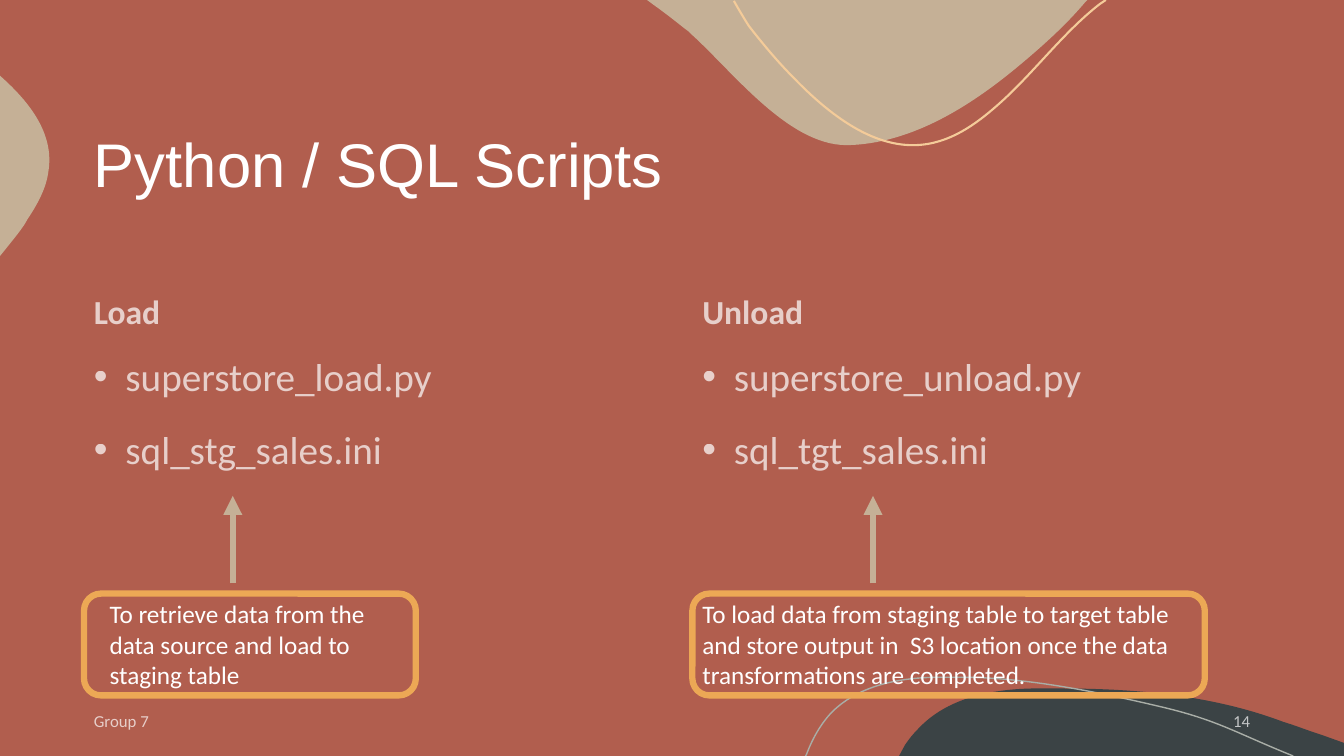
import pptx
import pptx.util
import pptx.dml.color
import pptx.enum.shapes
import pptx.enum.text
import pptx.oxml.ns
from lxml import etree

Pt = pptx.util.Pt
RGBColor = pptx.dml.color.RGBColor
Anchor = pptx.enum.text.MSO_ANCHOR
Align = pptx.enum.text.PP_ALIGN
qn = pptx.oxml.ns.qn

RUST = RGBColor(0xB1, 0x5E, 0x4E)
SAND = RGBColor(0xC5, 0xB0, 0x96)
SLATE = RGBColor(0x3B, 0x43, 0x45)
SAGE = RGBColor(0xA9, 0xAE, 0xA7)
CREAM = RGBColor(0xF4, 0xCB, 0x99)
AMBER = RGBColor(0xEC, 0xA8, 0x55)
WHITE = RGBColor(0xFF, 0xFF, 0xFF)

# Outlines: a pair is a straight step, six numbers are a cubic curve.
HILL = [(116.6, 0), (169.9, 0, 224.6, 5, 274.3, 23.8),
        (283.7, 26.6, 292.3, 30.2, 301.7, 33.1), (317.8, 38.9), (317.8, 48.2),
        (0, 48.2), (4.3, 40.3), (7.2, 36, 10.1, 32.4, 13.7, 28.8),
        (33.8, 7.2, 64.8, 0.7, 94.3, 0), (101.5, 0, 108.7, 0, 116.6, 0)]
SIDE_BLOB = [(0, 0), (0.7, 0.7), (21.6, 19.4, 38.9, 41.8, 34.6, 68.4),
             (33.1, 80.6, 26.6, 92.2, 19.4, 103),
             (17.3, 107.3, 12.2, 113.8, 5.8, 121.7), (0, 128.9)]
HILL_LINE = [(0, 56.2), (0.7, 55.4), (5, 43.9, 10.8, 33.8, 18, 25.9),
             (36.7, 6.5, 64.8, 0.7, 91.4, 0), (112.3, 0),
             (160.6, 0, 216.7, 12.2, 256.3, 21.6),
             (295.2, 31, 307.4, 39.6, 348.5, 56.2)]
TOP_BLOB = [(142.6, 103.7), (100.8, 103.7, 61.2, 51.1, 31.7, 24.5),
            (30.2, 23, 28.8, 21.6, 26.6, 20.2), (20.2, 15.1, 13, 9.4, 5.8, 4.3),
            (0, 0), (314.6, 0), (312.5, 2.2),
            (296.6, 20.9, 277.2, 37.4, 264.2, 48.2),
            (231.1, 75.6, 188.6, 103, 142.6, 103.7)]
TOP_LINE = [(265.7, 0), (261.4, 2.9), (235.4, 23, 213.8, 52.6, 189.4, 74.2),
            (156.2, 103.7, 113.8, 129.6, 42.5, 55.4),
            (31.7, 44.6, 20.9, 31.7, 10.8, 18.7), (6.5, 12.2, 0, 0.7, 0, 0.7)]


def bend_steps(shape, outline):
    """Turn the straight steps of a freeform into the curves of its outline."""
    geometry = next(shape._element.iter(qn("a:path")))
    geometry.set("w", str(shape.width))
    geometry.set("h", str(shape.height))
    for line, step in zip(geometry.findall(qn("a:lnTo")), outline[1:]):
        if len(step) == 6:
            curve = etree.Element(qn("a:cubicBezTo"))
            for x, y in zip(step[::2], step[1::2]):
                etree.SubElement(curve, qn("a:pt"), x=str(Pt(x)), y=str(Pt(y)))
            geometry.replace(line, curve)


def add_wave(slide, box, outline, color, line_width=None):
    """Add a filled blob, or an open line when a line width is given."""
    left, top, width, height = box
    corners = [(Pt(left + step[-2]), Pt(top + step[-1])) for step in outline]
    builder = slide.shapes.build_freeform(*corners[0], scale=1.0)
    builder.add_line_segments(corners[1:], close=line_width is None)
    shape = builder.convert_to_shape()
    shape.width, shape.height = Pt(width), Pt(height)
    bend_steps(shape, outline)
    shape.shadow.inherit = False
    if line_width is None:
        shape.fill.solid()
        shape.fill.fore_color.rgb = color
        shape.line.fill.background()
    else:
        shape.fill.background()
        shape.line.color.rgb = color
        shape.line.width = Pt(line_width)


def add_background(slide):
    slide.background.fill.solid()
    slide.background.fill.fore_color.rgb = RUST
    add_wave(slide, (642.2, 491.8, 317.8, 48.2), HILL, SLATE)
    add_wave(slide, (0, 54, 35.3, 128.9), SIDE_BLOB, SAND)
    add_wave(slide, (575.3, 483.8, 348.5, 56.2), HILL_LINE, SAGE, 1)
    add_wave(slide, (462.2, 0, 314.6, 103.7), TOP_BLOB, SAND)
    add_wave(slide, (524.2, 0, 265.7, 103.7), TOP_LINE, CREAM, 1.5)


def add_text(slide, box, text, size, font="Calibri", bold=False, opacity=100,
             anchor=Anchor.TOP, align=Align.LEFT, spacing=1.0, bullets=False):
    shape = slide.shapes.add_textbox(*map(Pt, box))
    frame = shape.text_frame
    frame.word_wrap = True
    frame.vertical_anchor = anchor
    frame.text = text
    for index, paragraph in enumerate(frame.paragraphs):
        paragraph.alignment = align
        paragraph.line_spacing = spacing
        paragraph.space_before = Pt(10 if index else 0)
        if bullets:
            properties = paragraph._p.get_or_add_pPr()
            properties.set("marL", str(Pt(22.5)))
            properties.set("indent", str(-Pt(22.5)))
            etree.SubElement(properties, qn("a:buFont"), typeface="Arial")
            etree.SubElement(properties, qn("a:buChar"), char="•")
        for run in paragraph.runs:
            run.font.name = font
            run.font.size = Pt(size)
            run.font.bold = bold
            run.font.color.rgb = WHITE
            if opacity < 100:
                for color in run._r.iter(qn("a:srgbClr")):
                    etree.SubElement(color, qn("a:alpha"), val=str(opacity * 1000))
    return shape


def add_arrow_up(slide, x, bottom, top):
    arrow = slide.shapes.add_connector(pptx.enum.shapes.MSO_CONNECTOR.STRAIGHT,
                                       Pt(x), Pt(bottom), Pt(x), Pt(top))
    arrow.line.color.rgb = SAND
    arrow.line.width = Pt(4.5)
    etree.SubElement(arrow.line._get_or_add_ln(), qn("a:tailEnd"), type="triangle")
    etree.SubElement(arrow._element.spPr, qn("a:effectLst"))


def add_script_column(slide, box, heading, scripts, arrow_x, frame_width,
                      note, note_left, note_width):
    """Add a heading, its script files and a framed note pointing up at them."""
    left, top, width, height = box
    add_text(slide, (left, top, width, 60), heading, 24, bold=True, opacity=70,
             anchor=Anchor.BOTTOM, spacing=1.25)
    add_text(slide, (left, top + 60, width, height - 60), "\n".join(scripts), 28,
             opacity=70, spacing=1.25, bullets=True)
    note_top, note_height = top + 244, 72.7
    note_box = add_text(slide, (left + note_left, note_top, note_width, note_height),
                        note, 18)
    note_box.text_frame.auto_size = pptx.enum.text.MSO_AUTO_SIZE.SHAPE_TO_FIT_TEXT
    add_arrow_up(slide, left + arrow_x, note_top - 7.2, note_top - 69.8)
    frame = slide.shapes.add_shape(pptx.enum.shapes.MSO_SHAPE.ROUNDED_RECTANGLE,
                                   Pt(left), Pt(note_top), Pt(frame_width), Pt(note_height))
    frame.shadow.inherit = False
    frame.fill.background()
    frame.line.color.rgb = AMBER
    frame.line.width = Pt(4.5)


def add_footer(slide, box):
    left, top, width, height = box
    add_text(slide, (left, top, 520, height), "Group 7", 12, opacity=70,
             anchor=Anchor.MIDDLE)
    add_text(slide, (left + width - 120, top, 120, height), "14", 12, opacity=70,
             anchor=Anchor.MIDDLE, align=Align.RIGHT)


def main():
    presentation = pptx.Presentation()
    presentation.slide_width = Pt(960)
    presentation.slide_height = Pt(540)
    slide = presentation.slides.add_slide(presentation.slide_layouts[6])
    add_background(slide)
    add_text(slide, (60, 60, 840, 120), "Python / SQL Scripts", 44, font="Arial",
             anchor=Anchor.MIDDLE, spacing=0.9)
    add_script_column(
        slide, (60, 180, 405, 300), "Load", ["superstore_load.py", "sql_stg_sales.ini"],
        106.3, 237, "To retrieve data from the data source and load to staging table",
        11.2, 232)
    add_script_column(
        slide, (494.6, 180, 405, 300), "Unload",
        ["superstore_unload.py", "sql_tgt_sales.ini"], 129, 366,
        "To load data from staging table to target table and store output in  S3 "
        "location once the data transformations are completed.", 0, 373)
    add_footer(slide, (60, 500.5, 840, 28.8))
    presentation.save("out.pptx")


if __name__ == "__main__":
    main()
